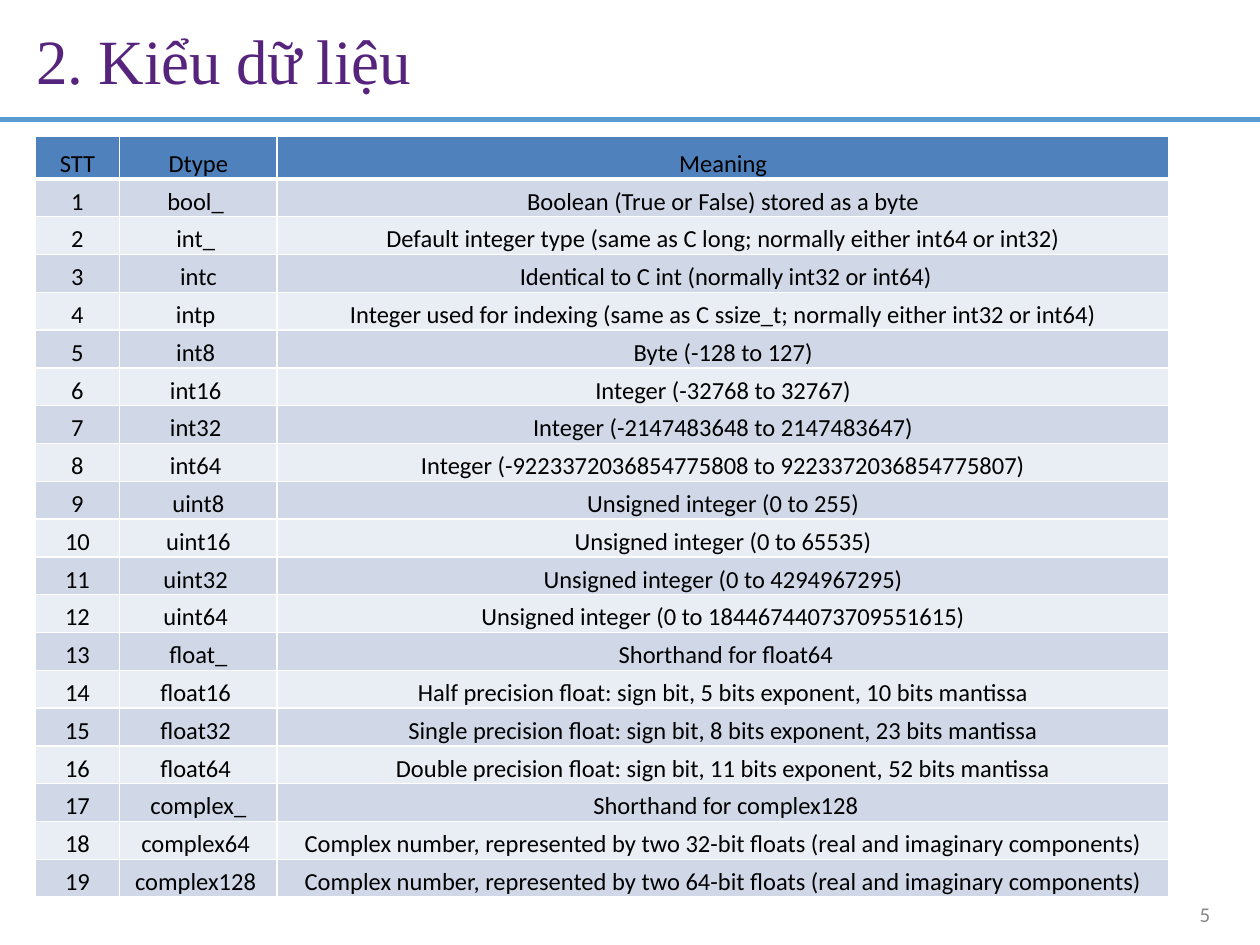
from pptx import Presentation
from pptx.dml.color import RGBColor as Rgb
from pptx.enum.shapes import MSO_CONNECTOR as Conn
from pptx.enum.text import MSO_ANCHOR as Anchor, MSO_AUTO_SIZE as Auto, PP_ALIGN as Align
from pptx.oxml import parse_xml
from pptx.oxml.ns import nsdecls
from pptx.util import Inches, Pt

HEAD = ("STT", "Dtype", "Meaning")
TYPES = [
    ("bool_ ", "Boolean (True or False) stored as a byte"),
    ("int_ ", "Default integer type (same as C long; normally either int64 or int32)"),
    ("intc", " Identical to C int (normally int32 or int64)"),
    ("intp ", "Integer used for indexing (same as C ssize_t; normally either int32 or int64)"),
    ("int8 ", "Byte (-128 to 127)"),
    ("int16 ", "Integer (-32768 to 32767)"),
    ("int32 ", "Integer (-2147483648 to 2147483647)"),
    ("int64 ", "Integer (-9223372036854775808 to 9223372036854775807)"),
    ("uint8", "Unsigned integer (0 to 255)"),
    ("uint16", "Unsigned integer (0 to 65535)"),
    ("uint32 ", "Unsigned integer (0 to 4294967295)"),
    ("uint64 ", "Unsigned integer (0 to 18446744073709551615)"),
    ("float_", " Shorthand for float64"),
    ("float16 ", "Half precision float: sign bit, 5 bits exponent, 10 bits mantissa"),
    ("float32 ", "Single precision float: sign bit, 8 bits exponent, 23 bits mantissa"),
    ("float64 ", "Double precision float: sign bit, 11 bits exponent, 52 bits mantissa"),
    ("complex_", " Shorthand for complex128"),
    ("complex64 ", "Complex number, represented by two 32-bit floats (real and imaginary components)"),
    ("complex128 ", "Complex number, represented by two 64-bit floats (real and imaginary components)"),
]
WIDTHS = (0.67, 1.25, 7.08)
HEAD_H, ROW_H = 0.34, 0.3
HEAD_FILL, BANDS = "4F81BD", ("E9EDF4", "D0D8E8")


def color(code):
    return Rgb.from_string(code)


def write(frame, text, size=14, font="Calibri", ink="000000", align=None,
          before=None, line=None, track=None):
    para = frame.paragraphs[0]
    para.alignment = align
    if before:
        para.space_before = Pt(before)
    if line:
        para.line_spacing = Pt(line)
    run = para.add_run()
    run.text = text
    run.font.size = Pt(size)
    run.font.name = font
    run.font.bold = False
    run.font.color.rgb = color(ink)
    if track:
        run.font._element.set("spc", str(round(track * 100)))


def inset(item, left, top, right, bottom):
    item.margin_left, item.margin_top = Inches(left), Inches(top)
    item.margin_right, item.margin_bottom = Inches(right), Inches(bottom)


def add_text(slide, text, left, top, width, height, pad, **style):
    box = slide.shapes.add_textbox(Inches(left), Inches(top), Inches(width), Inches(height))
    frame = box.text_frame
    frame.word_wrap = True
    frame.auto_size = Auto.SHAPE_TO_FIT_TEXT
    inset(frame, *pad)
    write(frame, text, **style)


def add_rule(slide, top, width, ink, weight):
    rule = slide.shapes.add_connector(Conn.STRAIGHT, 0, Inches(top), Inches(width), Inches(top))
    rule.line.color.rgb = color(ink)
    rule.line.width = Pt(weight)
    rule._element.spPr.append(parse_xml(f"<a:effectLst {nsdecls('a')}/>"))


def edge(cell, row):
    sides = {"L": 1, "R": 1, "T": 3 if row == 1 else 1, "B": 3 if row == 0 else 1}
    props = cell._tc.get_or_add_tcPr()
    for spot, (side, weight) in enumerate(sides.items()):
        props.insert(spot, parse_xml(
            f'<a:ln{side} {nsdecls("a")} w="{Pt(weight)}"><a:solidFill>'
            f'<a:srgbClr val="FFFFFF"/></a:solidFill></a:ln{side}>'))


def fill_cell(cell, text, row):
    cell.fill.solid()
    cell.fill.fore_color.rgb = color(BANDS[row % 2] if row else HEAD_FILL)
    cell.vertical_anchor = Anchor.BOTTOM
    inset(cell, 0.01, 0.01, 0.01, 0)
    write(cell.text_frame, text, align=Align.CENTER)
    edge(cell, row)


def add_grid(slide, left, top):
    rows = [HEAD] + [(str(num), *pair) for num, pair in enumerate(TYPES, 1)]
    height = HEAD_H + ROW_H * len(TYPES)
    table = slide.shapes.add_table(len(rows), len(WIDTHS), Inches(left), Inches(top),
                                   Inches(sum(WIDTHS)), Inches(height)).table
    table.first_row = table.horz_banding = False
    for col, width in zip(table.columns, WIDTHS):
        col.width = Inches(width)
    for row, texts in enumerate(rows):
        table.rows[row].height = Inches(ROW_H if row else HEAD_H)
        for col, text in enumerate(texts):
            fill_cell(table.cell(row, col), text, row)


def main():
    deck = Presentation()
    deck.slide_width, deck.slide_height = Inches(10), Inches(7.5)
    slide = deck.slides.add_slide(deck.slide_layouts[6])
    add_rule(slide, 0.95, 10, "5B9BD4", 3)
    add_text(slide, "5", 9.48, 7.18, 0.25, 0.19, (0.04, 0, 0, 0),
             size=12, ink="888888", line=12.4)
    add_text(slide, "2. Kiểu dữ liệu", 0.28, 0.16, 4.47, 0.62, (0.01, 0.01, 0, 0),
             size=36, font="Times New Roman", ink="56247C", before=1, track=-0.1)
    add_grid(slide, 0.28, 1.08)
    deck.save("out.pptx")


if __name__ == "__main__":
    main()
